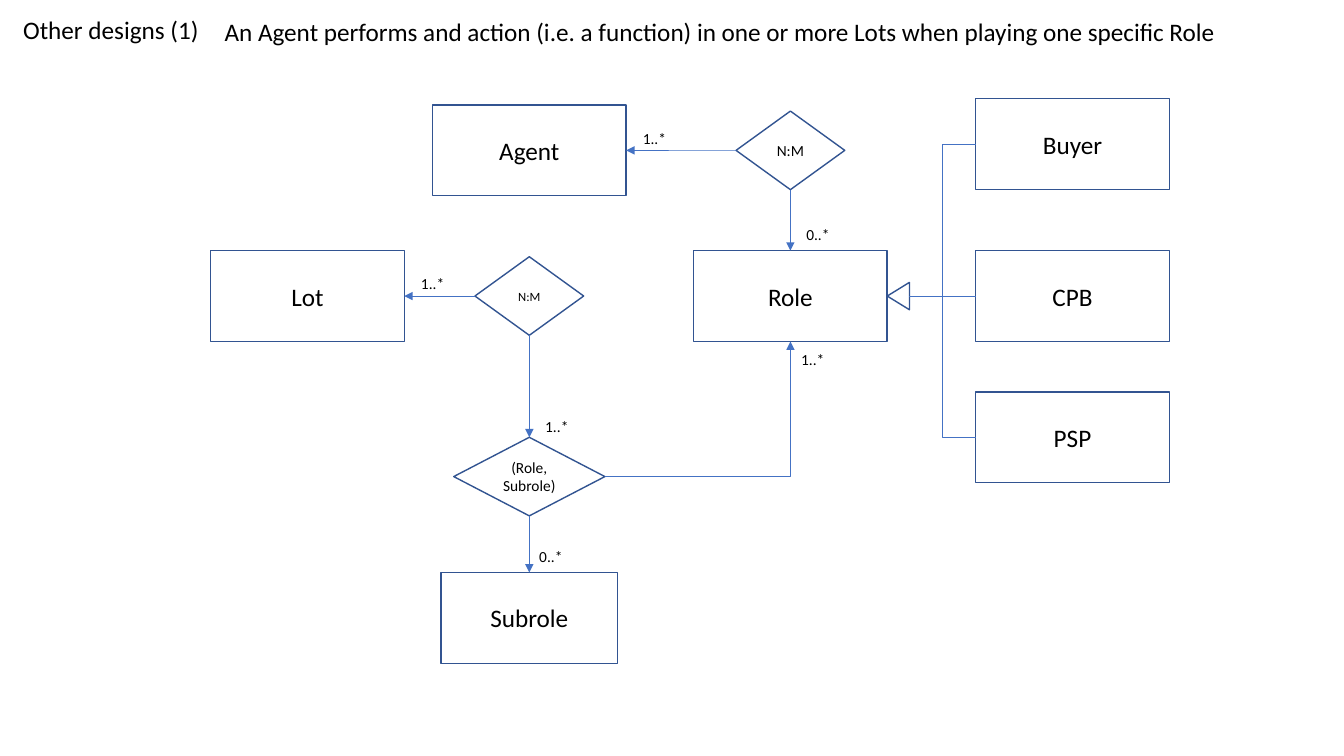
import pptx
import pptx.dml.color
import pptx.enum.shapes
import pptx.enum.text
import pptx.oxml.ns
import pptx.util
from lxml import etree

Cm = pptx.util.Cm
Pt = pptx.util.Pt
SHAPE = pptx.enum.shapes.MSO_SHAPE
CONNECTOR = pptx.enum.shapes.MSO_CONNECTOR
qn = pptx.oxml.ns.qn

BLACK = pptx.dml.color.RGBColor(0x00, 0x00, 0x00)
OUTLINE = pptx.dml.color.RGBColor(0x32, 0x54, 0x91)
LINK = pptx.dml.color.RGBColor(0x44, 0x72, 0xC4)
FONT = "Calibri"
TOP, LEFT, BOTTOM, RIGHT = range(4)
ENTITY = (4.88, 2.29)
DIAMOND = (2.74, 1.98)


def write(p, text, size):
    """Add one formatted run to a paragraph."""
    r = p.add_run()
    r.text = text
    r.font.name = FONT
    r.font.size = Pt(size)
    r.font.color.rgb = BLACK


def fit_line(sp, text, size):
    """Fill a shape with one unwrapped, left-aligned line of text."""
    tf = sp.text_frame
    tf.word_wrap = False
    tf.auto_size = pptx.enum.text.MSO_AUTO_SIZE.SHAPE_TO_FIT_TEXT
    tf.vertical_anchor = pptx.enum.text.MSO_ANCHOR.TOP
    p = tf.paragraphs[0]
    p.alignment = pptx.enum.text.PP_ALIGN.LEFT
    write(p, text, size)


def add_label(s, x, y, text, size=11, w=1.12, h=0.74):
    """Add a one-line text box."""
    fit_line(s.shapes.add_textbox(Cm(x), Cm(y), Cm(w), Cm(h)), text, size)


def add_node(s, kind, cx, cy, size, text="", points=18):
    """Add an outlined shape centred on a point."""
    w, h = size
    sp = s.shapes.add_shape(kind, Cm(cx - w / 2), Cm(cy - h / 2), Cm(w), Cm(h))
    sp.shadow.inherit = False
    sp.fill.background()
    sp.line.color.rgb = OUTLINE
    sp.line.width = Pt(1)
    if text:
        p = sp.text_frame.paragraphs[0]
        p.alignment = pptx.enum.text.PP_ALIGN.CENTER
        write(p, text, points)
    return sp


def add_link(s, kind, start=(0, 0), arrow=False):
    """Add a thin connector that begins at a point."""
    x, y = map(Cm, start)
    c = s.shapes.add_connector(kind, x, y, x, y)
    c.line.color.rgb = LINK
    c.line.width = Pt(0.5)
    if arrow:
        etree.SubElement(c.line._get_or_add_ln(), qn("a:tailEnd"), type="triangle")
    etree.SubElement(c._element.spPr, qn("a:effectLst"))
    return c


def add_arrow(s, source, source_side, target, target_side, kind=CONNECTOR.STRAIGHT):
    """Glue an arrow between the sides of two nodes."""
    c = add_link(s, kind, arrow=True)
    c.begin_connect(source, source_side)
    c.end_connect(target, target_side)
    return c


def add_header(s, x, y):
    """Place the title and the statement beside it."""
    title = s.shapes.title
    title.left, title.top, title.width, title.height = Cm(x), Cm(y), Cm(4.98), Cm(1.02)
    fit_line(title, "Other designs (1)", 18)
    add_label(s, x + 5.08, y + 0.05,
              "An Agent performs and action (i.e. a function) in one or more Lots "
              "when playing one specific Role", 18, 25.81, 1.02)


def add_relations(s, x, y):
    """Place the entities, their relations and the multiplicities."""
    lot_x, mid_x, role_x = x + 2.44, x + 8.03, x + 14.61
    agent_y, lot_y, pair_y, sub_y = y + 1.15, y + 4.82, y + 9.37, y + 12.93

    agent = add_node(s, SHAPE.RECTANGLE, mid_x, agent_y, ENTITY, "Agent")
    lot = add_node(s, SHAPE.RECTANGLE, lot_x, lot_y, ENTITY, "Lot")
    role = add_node(s, SHAPE.RECTANGLE, role_x, lot_y, ENTITY, "Role")
    subrole = add_node(s, SHAPE.RECTANGLE, mid_x, sub_y, (4.45, 2.29), "Subrole")
    plays = add_node(s, SHAPE.DIAMOND, role_x, agent_y, DIAMOND, "N:M", 11)
    acts = add_node(s, SHAPE.DIAMOND, mid_x, lot_y, DIAMOND, "N:M", 9)
    pair = add_node(s, SHAPE.DIAMOND, mid_x, pair_y, (3.81, 1.98), "(Role, Subrole)", 11)

    add_arrow(s, plays, LEFT, agent, RIGHT)
    add_arrow(s, plays, BOTTOM, role, TOP)
    add_arrow(s, acts, LEFT, lot, RIGHT)
    add_arrow(s, acts, BOTTOM, pair, TOP)
    add_arrow(s, pair, BOTTOM, subrole, TOP)
    bend = add_arrow(s, pair, RIGHT, role, BOTTOM, CONNECTOR.ELBOW)
    bend._element.spPr.find(qn("a:prstGeom")).set("prst", "bentConnector2")

    for dx, dy, text in ((10.64, 0.48, "1..*"), (14.76, 2.9, "0..*"),
                         (5.05, 4.14, "1..*"), (14.63, 6.05, "1..*"),
                         (8.18, 7.75, "1..*"), (8.03, 11.03, "0..*")):
        add_label(s, x + dx, y + dy, text)


def add_role_types(s, x, y):
    """Place the kinds of role and the generalisation tree."""
    hub_y = y + 4.97
    head = add_node(s, SHAPE.ISOSCELES_TRIANGLE, x + 0.29, hub_y, (0.69, 0.56))
    head.rotation = 270
    for name, dy, kind in (("Buyer", 1.14, CONNECTOR.ELBOW),
                           ("CPB", 4.97, CONNECTOR.STRAIGHT),
                           ("PSP", 8.53, CONNECTOR.ELBOW)):
        sp = add_node(s, SHAPE.RECTANGLE, x + 7.12 - ENTITY[0] / 2, y + dy, ENTITY, name)
        add_link(s, kind, (x + 0.56, hub_y)).end_connect(sp, LEFT)


prs = pptx.Presentation()
prs.slide_width, prs.slide_height = Cm(33.87), Cm(19.05)
s = prs.slides.add_slide(prs.slide_layouts[5])
add_header(s, 0.33, 0.23)
add_relations(s, 5.31, 2.64)
add_role_types(s, 22.35, 2.49)
prs.save("out.pptx")
